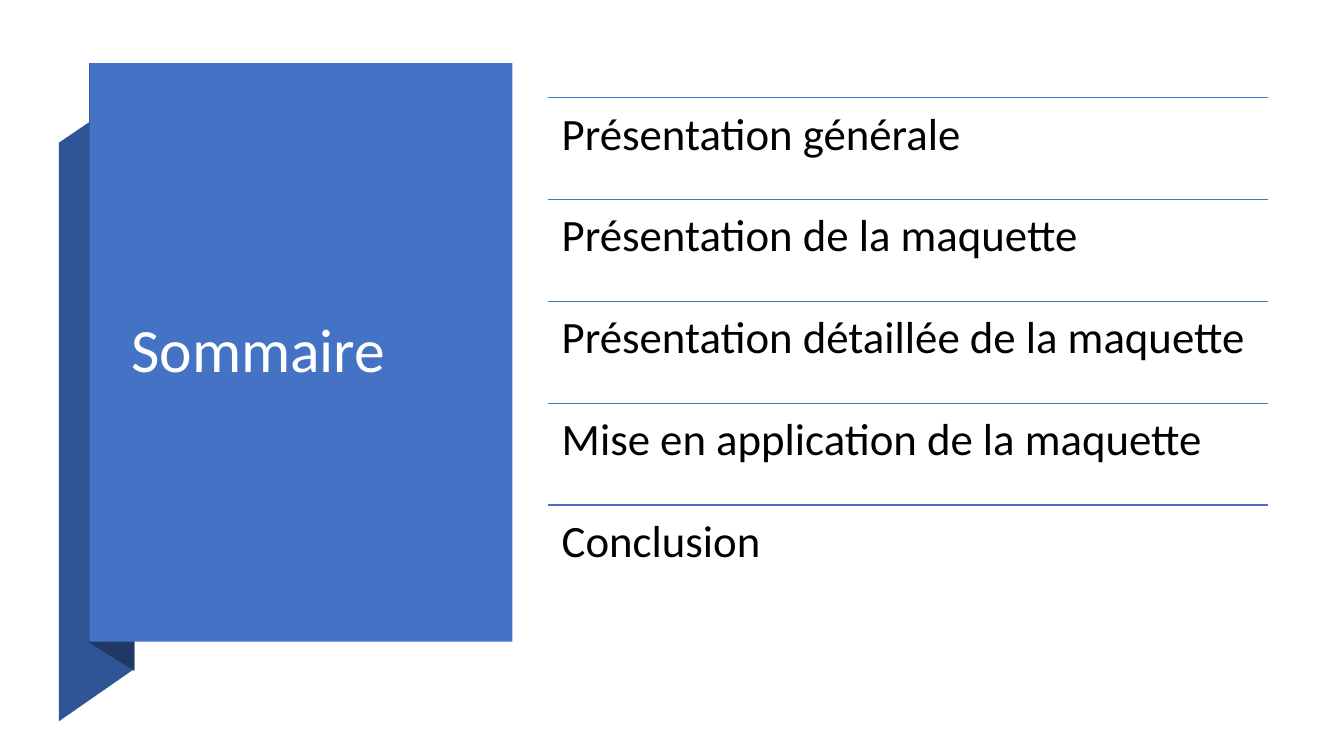
import dataclasses

import lxml.etree
import pptx
import pptx.dml.color
import pptx.enum.shapes
import pptx.enum.text
import pptx.oxml.ns
import pptx.shapes.base
import pptx.slide
import pptx.util

PX = 9525

RGBColor = pptx.dml.color.RGBColor
WHITE = RGBColor(0xFF, 0xFF, 0xFF)
BLACK = RGBColor(0x00, 0x00, 0x00)
BLUE = RGBColor(0x44, 0x72, 0xC4)
FOLD_BLUE = RGBColor(0x2F, 0x55, 0x97)
SHADE_BLUE = RGBColor(0x20, 0x38, 0x64)

MIDDLE = pptx.enum.text.MSO_ANCHOR.MIDDLE
TOP = pptx.enum.text.MSO_ANCHOR.TOP

LIST_LEFT, LIST_TOP, LIST_WIDTH, ROW_HEIGHT = 522, 93, 686, 97


@dataclasses.dataclass(frozen=True)
class Fold:
    points: tuple[tuple[int, int], ...]
    color: RGBColor


@dataclasses.dataclass(frozen=True)
class Label:
    text: str
    left: int
    top: int
    width: int
    height: int
    size: int
    color: RGBColor
    anchor: pptx.enum.text.MSO_ANCHOR
    inset_x: int
    inset_y: int


FOLDS = (
    Fold(((56, 687), (128, 637), (128, 87), (56, 136)), FOLD_BLUE),
    Fold(((85, 612), (128, 639), (128, 86), (85, 60)), SHADE_BLUE),
)
TITLE = Label("Sommaire", 115, 93, 339, 486, 44, WHITE, MIDDLE, 10, 5)
TOPICS = (
    "Présentation générale",
    "Présentation de la maquette",
    "Présentation détaillée de la maquette",
    "Mise en application de la maquette",
    "Conclusion",
)


def px(n: int) -> pptx.util.Emu:
    return pptx.util.Emu(n * PX)


def paint(shape: pptx.shapes.base.BaseShape, color: RGBColor) -> None:
    shape.shadow.inherit = False
    shape.fill.solid()
    shape.fill.fore_color.rgb = color
    shape.line.fill.background()


def draw_fold(s: pptx.slide.Slide, fold: Fold) -> None:
    start, *others = fold.points
    builder = s.shapes.build_freeform(*start, scale=PX)
    builder.add_line_segments(others, close=True)
    paint(builder.convert_to_shape(), fold.color)


def draw_panel(s: pptx.slide.Slide) -> None:
    rectangle = pptx.enum.shapes.MSO_SHAPE.RECTANGLE
    panel = s.shapes.add_shape(rectangle, px(85), px(60), px(403), px(551))
    paint(panel, BLUE)


def draw_label(s: pptx.slide.Slide, label: Label) -> None:
    sp = s.shapes.add_textbox(
        px(label.left), px(label.top), px(label.width), px(label.height)
    )
    tf = sp.text_frame
    p = tf.paragraphs[0]
    r = p.add_run()
    r.text = label.text
    frame_format = {
        "word_wrap": True,
        "vertical_anchor": label.anchor,
        "margin_left": px(label.inset_x),
        "margin_right": px(label.inset_x),
        "margin_top": px(label.inset_y),
        "margin_bottom": px(label.inset_y),
    }
    font_format = {"name": "Calibri", "size": pptx.util.Pt(label.size)}
    for target, values in ((tf, frame_format), (r.font, font_format)):
        for name, value in values.items():
            setattr(target, name, value)
    p.line_spacing = 0.9
    r.font.color.rgb = label.color


def draw_rule(s: pptx.slide.Slide, top: int) -> None:
    rule = s.shapes.add_connector(
        pptx.enum.shapes.MSO_CONNECTOR.STRAIGHT,
        px(LIST_LEFT), px(top), px(LIST_LEFT + LIST_WIDTH), px(top),
    )
    rule.line.color.rgb = BLUE
    rule.line.width = pptx.util.Pt(1)
    properties = rule._element.spPr
    lxml.etree.SubElement(properties, pptx.oxml.ns.qn("a:effectLst"))


def main() -> None:
    prs = pptx.Presentation()
    prs.slide_width, prs.slide_height = px(1280), px(720)
    s = prs.slides.add_slide(prs.slide_layouts[6])

    for fold in FOLDS:
        draw_fold(s, fold)
    draw_panel(s)
    draw_label(s, TITLE)

    for row, topic in enumerate(TOPICS):
        top = LIST_TOP + row * ROW_HEIGHT
        draw_rule(s, top)
        draw_label(s, Label(
            topic, LIST_LEFT, top, LIST_WIDTH, ROW_HEIGHT, 32, BLACK, TOP, 13, 13
        ))

    prs.save("out.pptx")


if __name__ == "__main__":
    main()
